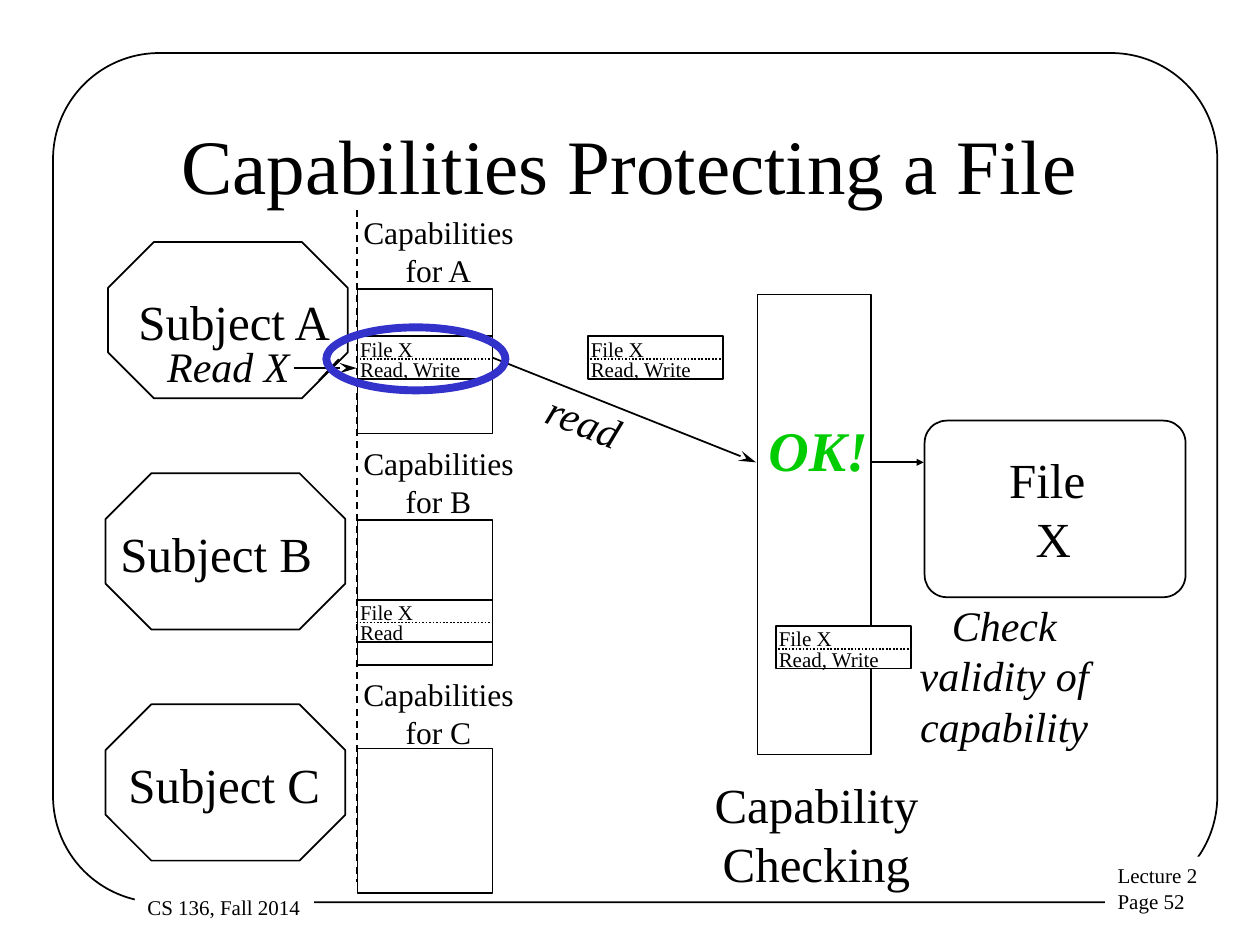
from dataclasses import dataclass

from lxml.etree import SubElement
from pptx import Presentation
from pptx.dml.color import RGBColor as RGB
from pptx.enum.dml import MSO_LINE as Dash
from pptx.enum.shapes import MSO_CONNECTOR as Link, MSO_SHAPE as Form
from pptx.enum.text import MSO_ANCHOR as Anchor, PP_ALIGN as Align
from pptx.oxml.ns import qn
from pptx.util import Cm, Pt


@dataclass(frozen=True)
class Theme:
    font: str = "Times New Roman"
    ink: RGB = RGB(0, 0, 0)
    paper: RGB = RGB(255, 255, 255)
    ring: RGB = RGB(0x33, 0x33, 0xCC)
    good: RGB = RGB(0, 0xCC, 0)
    title: int = 44
    cheer: int = 32
    head: int = 28
    note: int = 24
    label: int = 18
    small: int = 12
    thin: float = 1
    thick: float = 4.5


class Board:
    """Draws on one slide; all places are in centimetres."""

    def __init__(self, slide, theme):
        self.slide, self.theme = slide, theme
        self.shapes = slide.shapes

    def fill_text(self, frame, lines, size, color=None, align=Align.LEFT,
                  bold=False, italic=False):
        for i, line in enumerate(lines):
            para = frame.paragraphs[0] if i == 0 else frame.add_paragraph()
            para.alignment = align
            run = para.add_run()
            run.text = line
            font = run.font
            font.name, font.size = self.theme.font, Pt(size)
            font.bold, font.italic = bold, italic
            font.color.rgb = color or self.theme.ink

    def title(self, text, place):
        head = self.shapes.title
        head.left, head.top, head.width, head.height = map(Cm, place)
        head.text_frame.vertical_anchor = Anchor.MIDDLE
        self.fill_text(head.text_frame, [text], self.theme.title, align=Align.CENTER)

    def text(self, lines, place, size, wrap=False, fill=None, turn=0, **style):
        box = self.shapes.add_textbox(*map(Cm, place))
        box.rotation = turn
        box.text_frame.word_wrap = wrap
        if fill is not None:
            box.fill.solid()
            box.fill.fore_color.rgb = fill
        self.fill_text(box.text_frame, lines, size, **style)

    def shape(self, form, place, adjust=None, fill=None, color=None, width=None):
        item = self.shapes.add_shape(form, *map(Cm, place))
        item.shadow.inherit = False
        if fill is None:
            item.fill.background()
        else:
            item.fill.solid()
            item.fill.fore_color.rgb = fill
        item.line.color.rgb = color or self.theme.ink
        item.line.width = Pt(width or self.theme.thin)
        if adjust is not None:
            item.adjustments[0] = adjust
        return item

    def line(self, start, end, dash=None, tip=None):
        """Tip is a (type, width, length) arrowhead at the end."""
        item = self.shapes.add_connector(Link.STRAIGHT, *map(Cm, start + end))
        item.line.color.rgb = self.theme.ink
        item.line.width = Pt(self.theme.thin)
        if dash is not None:
            item.line.dash_style = dash
        props = item.element.spPr
        if tip:
            kind, wide, long = tip
            SubElement(props.find(qn("a:ln")), qn("a:tailEnd"),
                       type=kind, w=wide, len=long)
        SubElement(props, qn("a:effectLst"))
        return item

    def card(self, left, top, right, fill=None):
        """A capability: the file name above the access right."""
        box = self.shape(Form.RECTANGLE, (left, top, 2.72, 0.86), fill=fill)
        small = self.theme.small
        self.text(["File X"], (left - 0.2, top - 0.13, 1.57, 0.76), small)
        mid = top + 0.46
        self.line((left - 0.03, mid), (left + 2.74, mid), Dash.ROUND_DOT)
        wide = 2.57 if "," in right else 1.37
        self.text([right], (left - 0.2, top + 0.28, wide, 0.76), small)
        return box


def main():
    deck = Presentation()
    deck.slide_width, deck.slide_height = Cm(25.4), Cm(19.05)
    theme = Theme()
    board = Board(deck.slides.add_slide(deck.slide_layouts[5]), theme)
    center = Align.CENTER
    barb, point = ("stealth", "med", "lg"), ("triangle", "sm", "sm")

    # Frame, footers and title
    board.shape(Form.ROUNDED_RECTANGLE, (1.07, 1.07, 23.47, 17.12), 0.125)
    board.text(["Lecture 2", "Page 52"], (22.28, 17.27, 3.23, 1.27),
               theme.small, fill=theme.paper)
    board.text(["CS 136, Fall 2014"], (2.72, 17.91, 3.61, 0.76),
               theme.small, fill=theme.paper)
    board.title("Capabilities Protecting a File", (1.9, 1.7, 21.59, 3.18))

    # Subjects and their capability lists
    board.line((7.19, 4.24), (7.19, 17.78), Dash.DASH)
    rows = [("A", 2.18, 2.54, 5.82), ("B", 2.13, 2.18, 10.49),
            ("C", 2.13, 2.34, 15.09)]
    for i, (name, left, inner, top) in enumerate(rows):
        drop = 4.66 * i
        board.shape(Form.OCTAGON, (left, 4.88 + drop, 4.83, 3.15), 0.293)
        board.text([f"Subject {name}"], (inner, 5.76 + drop, 4.39, 1.45), theme.head)
        board.shape(Form.RECTANGLE, (7.21, top, 2.72, 2.92))
        board.text(["Capabilities", f"for {name}"], (7.06, 4.17 + drop, 3.56, 1.78),
                   theme.label, align=center)
    held = board.card(7.21, 6.78, "Read, Write")
    board.card(7.21, 12.09, "Read")

    # Request from subject A
    board.text(["Read X"], (3.12, 6.73, 2.97, 1.27), theme.note, italic=True)
    board.line((5.92, 7.42), (7.19, 7.42), tip=barb)
    board.line((6.83, 7.24), (6.43, 7.67))
    board.card(11.86, 6.78, "Read, Write")
    send = board.line((9.93, 7.21), (15.24, 9.32), tip=barb)
    send.begin_connect(held, 3)
    board.text(["read"], (10.77, 7.85, 2.06, 1.27), theme.note, turn=21, italic=True)
    board.shape(Form.OVAL, (6.58, 6.6, 3.61, 1.27),
                color=theme.ring, width=theme.thick)

    # Checking and the protected file
    board.shape(Form.RECTANGLE, (15.27, 5.94, 2.29, 9.27))
    board.text(["Capability", "Checking"], (14.15, 15.49, 4.62, 2.64),
               theme.head, align=center)
    board.card(15.65, 12.62, "Read, Write", fill=theme.paper)
    board.text(["Check validity of capability"], (17.58, 11.96, 5.33, 3.3),
               theme.note, wrap=True, align=center, italic=True)
    board.text(["OK!"], (15.24, 8.26, 2.51, 1.63), theme.cheer,
               color=theme.good, bold=True, italic=True)
    board.line((17.58, 9.32), (18.62, 9.32), tip=point)
    board.shape(Form.ROUNDED_RECTANGLE, (18.64, 8.48, 5.26, 3.56), 0.125)
    board.text(["File ", "X"], (20.09, 8.94, 2.29, 2.64), theme.head, align=center)

    deck.save("out.pptx")


if __name__ == "__main__":
    main()
